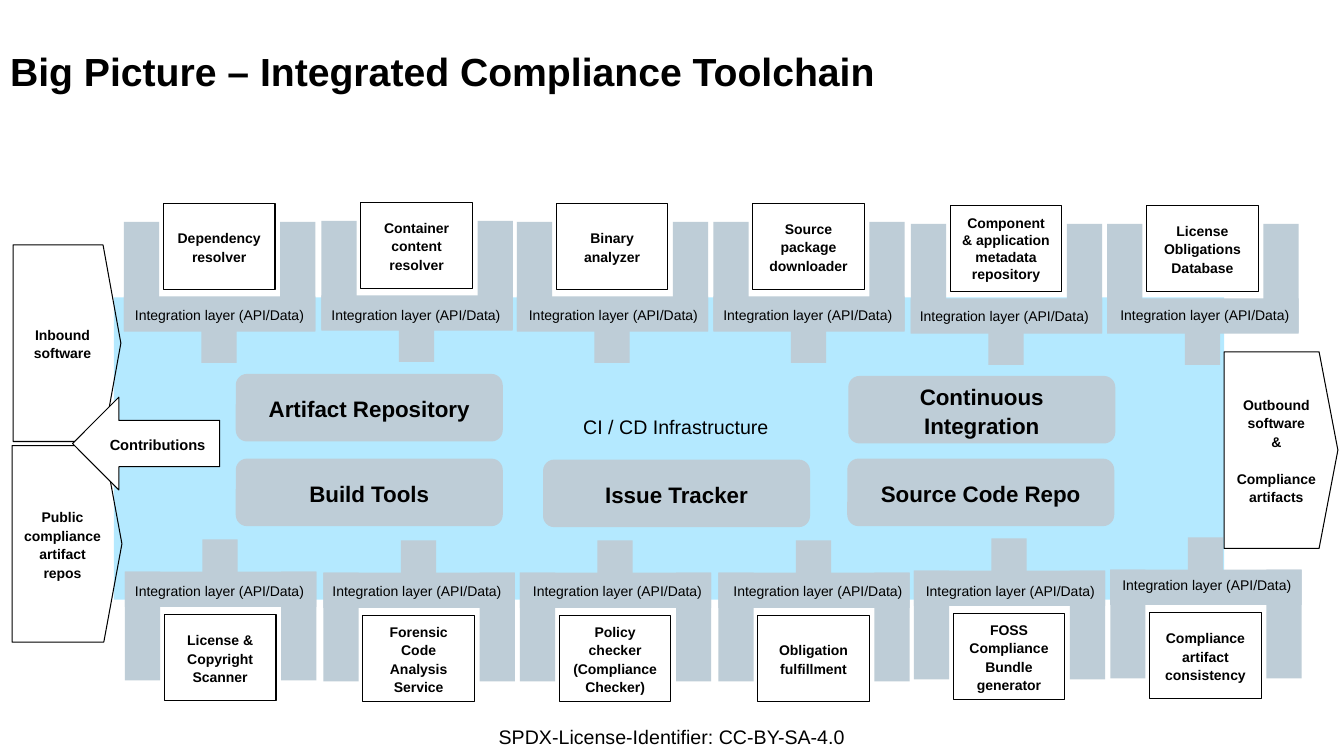
from pptx import Presentation
from pptx.dml.color import RGBColor
from pptx.enum.shapes import MSO_SHAPE as Shape
from pptx.enum.text import MSO_ANCHOR as Anchor, PP_ALIGN as Align
from pptx.util import Inches, Pt

COLORS = {"black": "000000", "white": "FFFFFF", "sky": "B4E9FF", "steel": "BECDD7"}

TITLE = "Big Picture – Integrated Compliance Toolchain"
LAYER = "Integration layer (API/Data)"

# Tools: name, left and top of the holder, left and top of its label
TOP_TOOLS = [
    ("Dependency resolver", 1.23, 2.2, 1.34, 3.02),
    ("Container content resolver", 3.19, 2.19, 3.29, 3.02),
    ("Binary analyzer", 5.13, 2.2, 5.25, 3.02),
    ("Source package downloader", 7.08, 2.2, 7.18, 3.02),
    ("Component & application metadata repository", 9.04, 2.22, 9.13, 3.03),
    ("License Obligations Database", 10.99, 2.22, 11.12, 3.02),
]
BOTTOM_TOOLS = [
    ("License & Copyright Scanner", 1.24, 5.67, 1.34, 5.76),
    ("Forensic Code Analysis Service", 3.21, 5.68, 3.3, 5.76),
    ("Policy checker (Compliance Checker)", 5.16, 5.68, 5.29, 5.76),
    ("Obligation fulfillment", 7.13, 5.68, 7.28, 5.76),
    ("FOSS Compliance Bundle generator", 9.07, 5.66, 9.19, 5.76),
    ("Compliance artifact consistency", 11.02, 5.65, 11.14, 5.7),
]
SINGLE_SPACED = {"Component & application metadata repository"}

INFRASTRUCTURE = [
    ("Artifact Repository", 2.34, 3.71),
    ("Continuous Integration", 8.42, 3.73),
    ("Build Tools", 2.34, 4.55),
    ("Issue Tracker", 5.39, 4.56),
    ("Source Code Repo", 8.41, 4.55),
]
FLOWS = [
    (["Inbound software"], 0.13, 2.43, 1.07),
    (["Public compliance artifact repos"], 0.12, 4.42, 1.09),
    (["Outbound software", "&", "Compliance artifacts"], 12.15, 3.49, 1.13),
]

# Holder geometry: U-shaped bracket with a stem towards the infrastructure
BAR, ARM, SPAN, STEM_X = 0.35, 1.08, 1.9, 0.77
TOOL_X, TOOL_W, TOOL_H = 0.39, 1.11, 0.85
TOP_OFFSETS = {"bar": 0.74, "stem": 1.05, "tool": -0.18}
BOTTOM_OFFSETS = {"bar": 0, "stem": -0.32, "tool": 0.43}

deck = Presentation()
deck.slide_width, deck.slide_height = Inches(13.34), Inches(7.5)
page = deck.slides.add_slide(deck.slide_layouts[5])


def color(name):
    return RGBColor.from_string(COLORS[name])


def write(box, lines, size, bold=True, align=Align.CENTER, spacing=1.1,
          insets=(0.12, 0.06), anchor=Anchor.MIDDLE):
    frame = box.text_frame
    across, down = map(Inches, insets)
    settings = {"word_wrap": True, "vertical_anchor": anchor,
                "margin_left": across, "margin_right": across,
                "margin_top": down, "margin_bottom": down}
    for key, value in settings.items():
        setattr(frame, key, value)
    for index, line in enumerate(lines):
        para = frame.add_paragraph() if index else frame.paragraphs[0]
        para.alignment, para.line_spacing = align, spacing
        span = para.add_run()
        span.text = line
        for key, value in {"name": "Arial", "size": Pt(size), "bold": bold}.items():
            setattr(span.font, key, value)
        span.font.color.rgb = color("black")
    return frame


def add_box(kind, left, top, width, height, fill=None, outlined=False):
    box = page.shapes.add_shape(kind, *map(Inches, (left, top, width, height)))
    box.shadow.inherit = False
    if fill:
        box.fill.solid()
        box.fill.fore_color.rgb = color(fill)
    else:
        box.fill.background()
    if outlined:
        box.line.color.rgb = color("black")
        box.line.width = Pt(0.75)
    else:
        box.line.fill.background()
    return box


def add_label(words, left, top, width, height, size, spacing=1.1, insets=(0, 0)):
    box = page.shapes.add_textbox(*map(Inches, (left, top, width, height)))
    write(box, [words], size, False, Align.LEFT, spacing, insets, Anchor.TOP)


def add_tool(name, left, top, label_left, label_top, offsets):
    bracket = [
        (left, top, BAR, ARM),
        (left + SPAN - BAR, top, BAR, ARM),
        (left, top + offsets["bar"], SPAN, BAR),
        (left + STEM_X, top + offsets["stem"], BAR, BAR),
    ]
    for part in bracket:
        add_box(Shape.RECTANGLE, *part, fill="steel")
    tool = add_box(Shape.RECTANGLE, left + TOOL_X, top + offsets["tool"],
                   TOOL_W, TOOL_H, outlined=True)
    write(tool, [name], 10, spacing=1 if name in SINGLE_SPACED else 1.1)
    add_label(LAYER, label_left, label_top, 1.74, 0.26, 10)


# Title
title = page.shapes.title
for side, length in {"left": 0, "top": 0.01, "width": 13.34, "height": 1.39}.items():
    setattr(title, side, Inches(length))
write(title, [TITLE], 28, align=Align.LEFT, spacing=1, insets=(0.1, 0.05))

# Infrastructure area
add_box(Shape.RECTANGLE, 1.13, 2.95, 11.02, 3, fill="sky")
add_label("CI / CD Infrastructure", 5.69, 4.07, 2.88, 0.34, 14, 1, (0.1, 0.05))
for name, left, top in INFRASTRUCTURE:
    write(add_box(Shape.ROUNDED_RECTANGLE, left, top, 2.65, 0.67, "steel"), [name], 16)

# Tools with their integration layers
for tools, offsets in ((TOP_TOOLS, TOP_OFFSETS), (BOTTOM_TOOLS, BOTTOM_OFFSETS)):
    for tool in tools:
        add_tool(*tool, offsets)

# Inbound and outbound flows, with side insets that keep long words whole
for lines, left, top, width in FLOWS:
    flow = add_box(Shape.PENTAGON, left, top, width, 1.95, outlined=True)
    flow.adjustments[0] = 0.165
    frame = write(flow, lines, 10, insets=(0.09, 0.06))
    if len(lines) > 1:
        frame.paragraphs[-1].space_before = Pt(13)
arrow = add_box(Shape.LEFT_ARROW, 0.72, 3.94, 1.46, 0.92, "white", outlined=True)
write(arrow, ["Contributions"], 10.5)

# License line
add_label("SPDX-License-Identifier: CC-BY-SA-4.0", 4.95, 7.17, 4.07, 0.3, 14)

deck.save("out.pptx")
